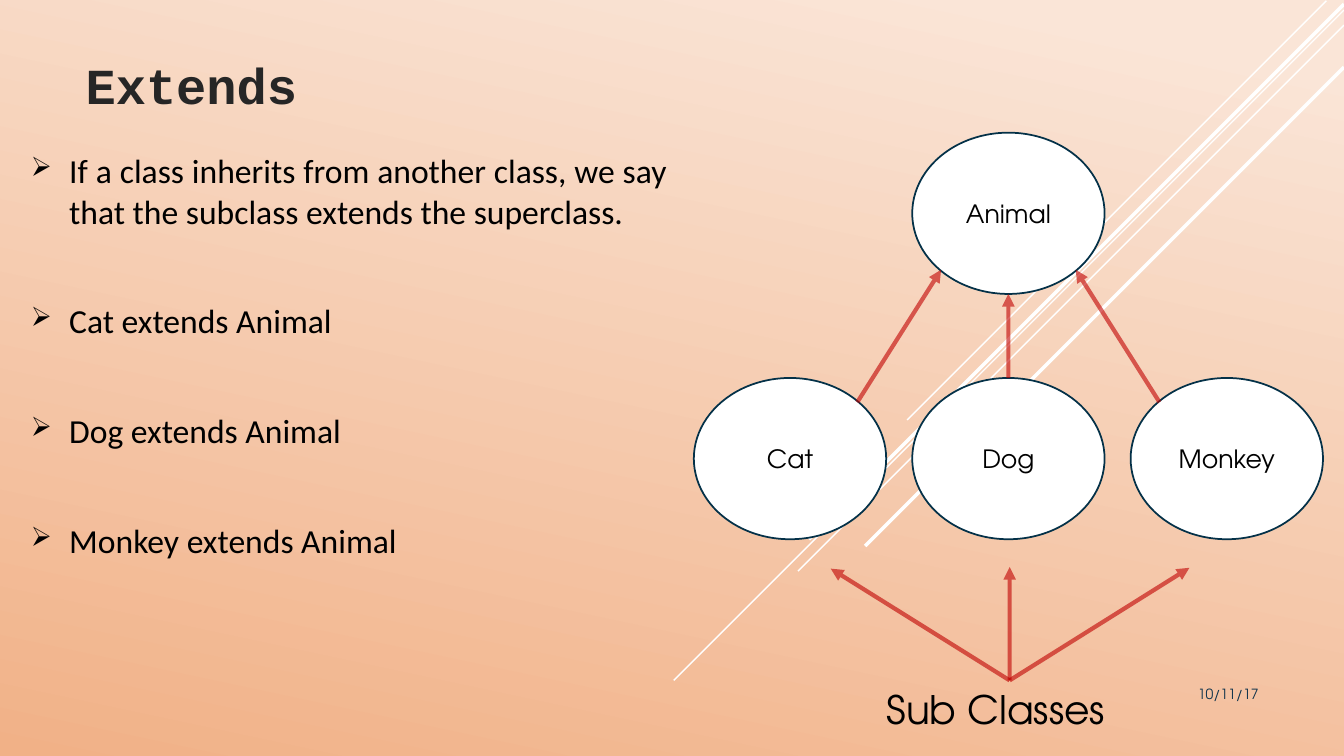
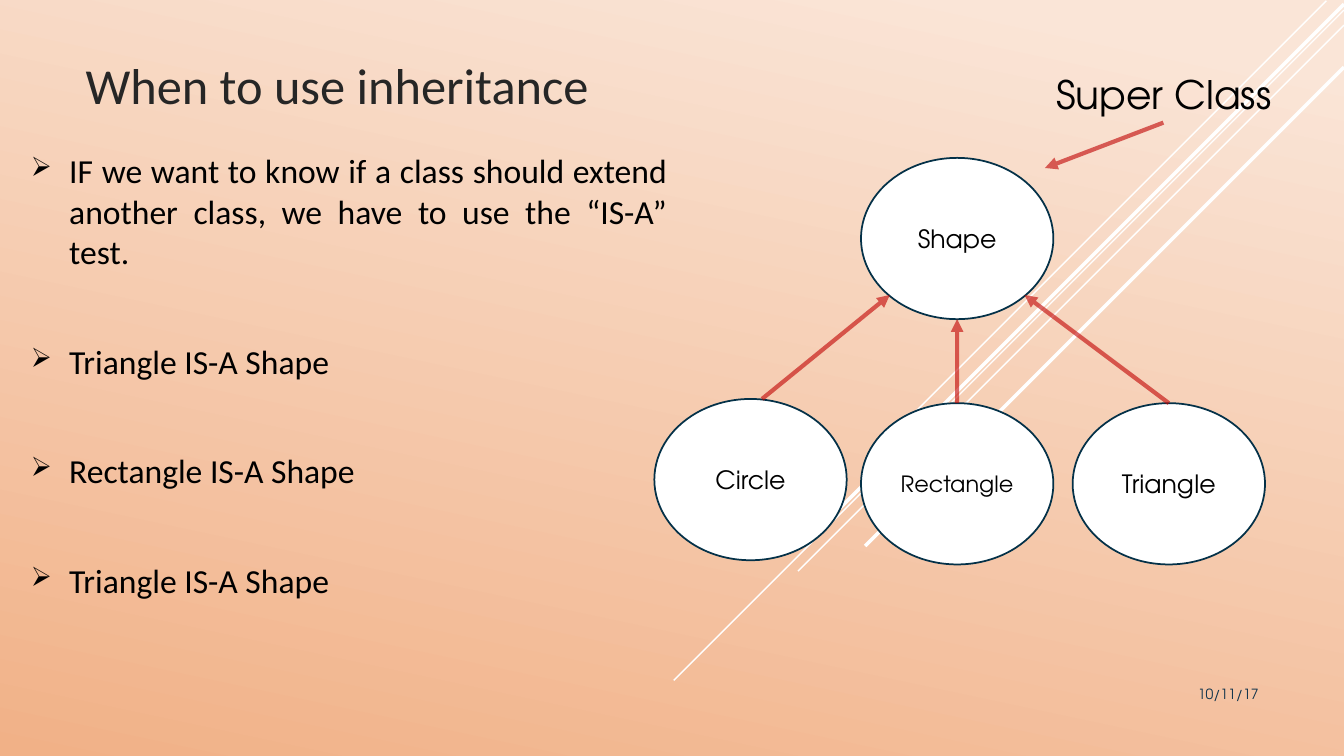
from dataclasses import dataclass

from lxml.etree import SubElement
from pptx import Presentation
from pptx.dml.color import RGBColor
from pptx.enum.shapes import MSO_CONNECTOR, MSO_SHAPE
from pptx.enum.text import MSO_ANCHOR, PP_ALIGN
from pptx.oxml.ns import qn
from pptx.util import Inches, Pt

# The slide is a grid of 160 columns by 90 rows of square cells.
COLUMNS, ROWS = 160, 90
CELL = Inches(13.333) / COLUMNS

COLORS = {
    "sky": "FAE5D7",
    "sand": "F1B187",
    "ray": "FFFFFF",
    "title": "262626",
    "text": "000000",
    "date": "0A304A",
    "node": "FFFFFF",
    "outline": "043148",
    "arrow": "C00000",
}
BODY_FONT, CODE_FONT, LABEL_FONT = "Calibri", "Courier New", "TeX Gyre Adventor"

# Diagonal rays falling to the left: start column, start row, cells, points
RAYS = [
    (157.9, 0.1, 49.9, 1),
    (160, 1.2, 79.8, 1),
    (160, 3, 65, 1),
    (160, 0.5, 63.7, 2.5),
    (160, 8, 57, 2.5),
]
NODE_WIDTH, NODE_HEIGHT = 22.9, 19.2

# Points on a node as shares of its box
TOP, BOTTOM = (0.5, 0), (0.5, 1)
TOP_LEFT, TOP_RIGHT = (0.15, 0.15), (0.85, 0.15)
LOW_LEFT, LOW_RIGHT = (0.15, 0.85), (0.85, 0.85)


@dataclass
class Box:
    left: float
    top: float
    width: float
    height: float

    def point(self, share):
        return self.left + share[0] * self.width, self.top + share[1] * self.height

    def emu(self):
        return cells(self.left, self.top, self.width, self.height)


TITLE_BOX = Box(9, 1.8, 129.6, 12.4)
BODY_BOX = Box(2.5, 17.3, 78.1, 68.5)
DATE_BOX = Box(130, 81, 21, 4.8)


def cells(*lengths):
    return [round(length * CELL) for length in lengths]


def color(name):
    return RGBColor.from_string(COLORS[name])


def style(para, size, font, color_name, align=PP_ALIGN.LEFT, bold=False):
    para.alignment = align
    para.font.size = Pt(size)
    para.font.name = font
    para.font.bold = bold
    para.font.color.rgb = color(color_name)


def add_text(page, box, text, size, font, color_name,
             anchor=MSO_ANCHOR.TOP, wrap=True, **options):
    frame = page.shapes.add_textbox(*box.emu()).text_frame
    frame.word_wrap = wrap
    frame.vertical_anchor = anchor
    frame.text = text
    style(frame.paragraphs[0], size, font, color_name, **options)


def add_line(page, start, end, color_name, width):
    line = page.shapes.add_connector(
        MSO_CONNECTOR.STRAIGHT, *cells(*start, *end))
    line.line.color.rgb = color(color_name)
    line.line.width = Pt(width)
    SubElement(line._element.spPr, qn("a:effectLst"))
    return line


def add_arrow(page, start, end):
    """Draw a 60% opaque arrow with its head at the end point."""
    outline = add_line(page, start, end, "arrow", 3).line._get_or_add_ln()
    SubElement(outline.find(".//" + qn("a:srgbClr")), qn("a:alpha"), val="60000")
    SubElement(outline, qn("a:tailEnd"), type="triangle")


def add_backdrop(page):
    fill = page.background.fill
    fill.gradient()
    fill.gradient_angle = 258
    for stop, name, position in zip(fill.gradient_stops, ("sky", "sand"), (0.07, 1)):
        stop.color.rgb = color(name)
        stop.position = position
    for column, row, length, width in RAYS:
        add_line(page, (column, row), (column - length, row + length), "ray", width)


def add_bullets(page, box, items):
    frame = page.shapes.add_textbox(*box.emu()).text_frame
    frame.word_wrap = True
    for index, item in enumerate(items):
        para = frame.paragraphs[0] if index == 0 else frame.add_paragraph()
        para.text = item
        properties = para._p.get_or_add_pPr()
        properties.set("marL", str(Inches(0.38)))
        properties.set("indent", str(-Inches(0.38)))
        bullet_color = SubElement(properties, qn("a:buClr"))
        SubElement(bullet_color, qn("a:srgbClr"), val=COLORS["text"])
        SubElement(properties, qn("a:buSzPct"), val="80000")
        SubElement(properties, qn("a:buChar"), char="➢")
        style(para, 24, BODY_FONT, "text", PP_ALIGN.JUSTIFY)
        if index:
            para.space_before = Pt(49.5)


def add_node(page, box, name, size=18):
    node = page.shapes.add_shape(MSO_SHAPE.OVAL, *box.emu())
    node.shadow.inherit = False
    node.fill.solid()
    node.fill.fore_color.rgb = color("node")
    node.line.color.rgb = color("outline")
    node.line.width = Pt(1.25)
    frame = node.text_frame
    frame.margin_left = frame.margin_right = 0
    frame.vertical_anchor = MSO_ANCHOR.MIDDLE
    frame.text = name
    style(frame.paragraphs[0], size, LABEL_FONT, "text", PP_ALIGN.CENTER)


def add_class_tree(page, left, top, parent, children):
    """Place the parent class at left, top and its subclasses around it.

    Each child is: name, text size, offset across, offset down,
    arrow start on the child, arrow end on the parent.
    """
    parent_box = Box(left, top, NODE_WIDTH, NODE_HEIGHT)
    add_node(page, parent_box, parent)
    arrows = []
    for name, size, across, down, start, end in children:
        child_box = Box(left + across, top + down, NODE_WIDTH, NODE_HEIGHT)
        add_node(page, child_box, name, size)
        arrows.append((child_box.point(start), parent_box.point(end)))
    for start, end in arrows:
        add_arrow(page, start, end)


def add_callout(page, box, text, start, targets):
    """Write a large label with arrows from a start point to its targets."""
    add_text(page, box, text, 28, LABEL_FONT, "text",
             wrap=False, align=PP_ALIGN.CENTER)
    for target in targets:
        add_arrow(page, start, target)


def add_page(deck, title, bullets, title_font=BODY_FONT, bold=False):
    page = deck.slides.add_slide(deck.slide_layouts[6])
    add_backdrop(page)
    add_text(page, TITLE_BOX, title, 36, title_font, "title",
             anchor=MSO_ANCHOR.BOTTOM, bold=bold)
    add_text(page, DATE_BOX, "10/11/17", 10, LABEL_FONT, "date",
             align=PP_ALIGN.RIGHT)
    add_bullets(page, BODY_BOX, bullets)
    return page


def add_extends_page(deck):
    page = add_page(deck, "Extends", [
        "If a class inherits from another class, we say that the subclass "
        "extends the superclass.",
        "Cat extends Animal",
        "Dog extends Animal",
        "Monkey extends Animal",
    ], CODE_FONT, bold=True)
    add_class_tree(page, 108.6, 15.8, "Animal", [
        ("Cat", 18, -26, 29.2, TOP_RIGHT, LOW_LEFT),
        ("Dog", 18, 0, 29.2, TOP, BOTTOM),
        ("Monkey", 18, 26, 29.2, TOP_LEFT, LOW_RIGHT),
    ])
    add_callout(page, Box(104.2, 81, 28.7, 6.8), "Sub Classes", (120.2, 81),
                [(98.9, 67.7), (120.2, 67.5), (141.6, 67.6)])


def add_inheritance_page(deck):
    page = add_page(deck, "When to use inheritance", [
        "IF we want to know if a class should extend another class, "
        "we have to use the “IS-A” test.",
        "Triangle IS-A Shape",
        "Rectangle IS-A Shape",
        "Triangle IS-A Shape",
    ])
    add_class_tree(page, 102.5, 18.8, "Shape", [
        ("Circle", 18, -24.6, 28.7, (0.56, 0), LOW_LEFT),
        ("Rectangle", 16, 0, 29.2, TOP, BOTTOM),
        ("Triangle", 18, 25.2, 29.2, TOP, LOW_RIGHT),
    ])
    add_callout(page, Box(124.4, 7.8, 28.3, 6.8), "Super Class",
                (138.5, 14.6), [(124.4, 20)])


def main():
    deck = Presentation()
    deck.slide_width, deck.slide_height = cells(COLUMNS, ROWS)
    add_extends_page(deck)
    add_inheritance_page(deck)
    deck.save("out.pptx")


if __name__ == "__main__":
    main()
